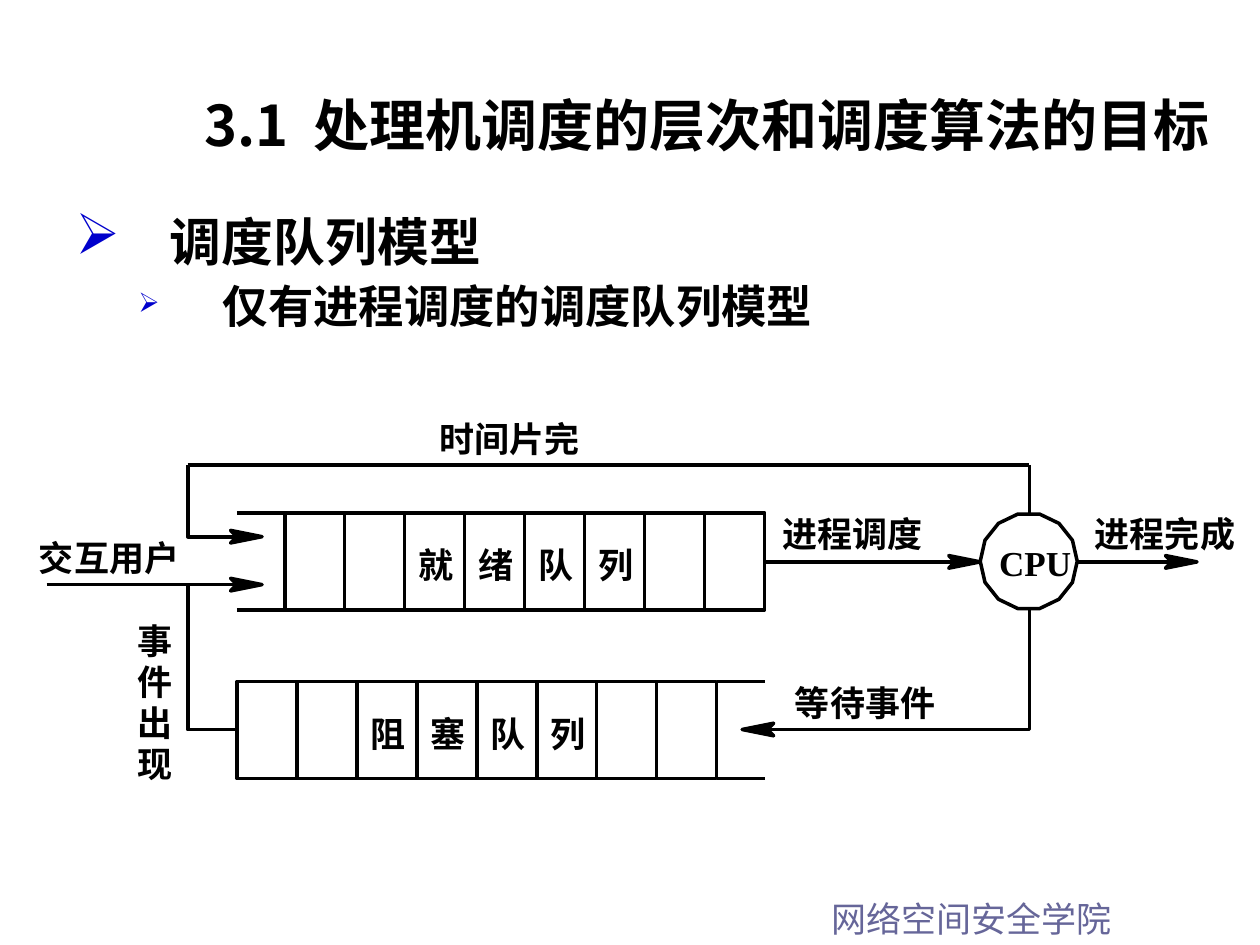
import math
from dataclasses import dataclass

import pptx
import pptx.dml.color
import pptx.enum.shapes
import pptx.enum.text
import pptx.oxml
import pptx.oxml.ns
import pptx.util
from pptx.util import Inches

BLACK, WHITE, BULLET_BLUE, FOOTER_VIOLET = "000000", "FFFFFF", "0000CC", "666699"
HEADING_FONT = "Noto Sans CJK JP"
LABEL_FONT = "Noto Sans CJK SC"
LATIN_FONT = "Times New Roman"
BULLET_FONT = "OpenSymbol"
CELL_COUNT, CELL_WIDTH, QUEUE_HEIGHT, OPEN_END = 8, 0.476, 0.77, 0.38


@dataclass
class Box:
    left: float
    top: float
    width: float
    height: float

    def inside(self, left, top, width, height):
        return Box(self.left + left, self.top + top, width, height)

    def point(self, x, y):
        return Inches(self.left + x), Inches(self.top + y)

    def lengths(self):
        return [Inches(value) for value in (self.left, self.top, self.width, self.height)]


def color(value):
    return pptx.dml.color.RGBColor.from_string(value)


def style_shape(shape, fill=None):
    shape.shadow.inherit = False
    shape.line.color.rgb = color(BLACK)
    shape.line.width = pptx.util.Pt(2)
    if fill:
        shape.fill.solid()
        shape.fill.fore_color.rgb = color(fill)
    else:
        shape.fill.background()


def add_text_box(slide, box, margins=(0.1, 0.05), grow=True):
    frame = slide.shapes.add_textbox(*box.lengths()).text_frame
    frame.word_wrap = True
    frame.margin_left = frame.margin_right = Inches(margins[0])
    frame.margin_top = frame.margin_bottom = Inches(margins[1])
    sizes = pptx.enum.text.MSO_AUTO_SIZE
    frame.auto_size = sizes.SHAPE_TO_FIT_TEXT if grow else sizes.NONE
    return frame


def add_run(paragraph, text, size, font, text_color=BLACK, bold=True, east_asian=None):
    run = paragraph.add_run()
    run.text = text
    run.font.size = pptx.util.Pt(size)
    run.font.bold = bold
    run.font.color.rgb = color(text_color)
    run.font.name = font
    east_asian_font = pptx.oxml.parse_xml(
        f'<a:ea {pptx.oxml.ns.nsdecls("a")} typeface="{east_asian or font}"/>')
    run.font._element.find(pptx.oxml.ns.qn("a:latin")).addnext(east_asian_font)
    return run


def add_label(slide, box, text, font=LABEL_FONT):
    frame = add_text_box(slide, box, margins=(0, 0))
    add_run(frame.paragraphs[0], text, 20, font)


def add_line(slide, start, end):
    connector = slide.shapes.add_connector(
        pptx.enum.shapes.MSO_CONNECTOR.STRAIGHT, *start, *end)
    connector.line.color.rgb = color(BLACK)
    connector.line.width = pptx.util.Pt(2)
    effects = pptx.oxml.parse_xml(f'<a:effectLst {pptx.oxml.ns.nsdecls("a")}/>')
    connector._element.spPr.append(effects)


def add_outline(slide, points, close=False, fill=None):
    builder = slide.shapes.build_freeform(*points[0])
    builder.add_line_segments(points[1:], close=close)
    style_shape(builder.convert_to_shape(), fill)


def add_arrowhead(slide, box, x, y, direction=1):
    """Notched head with its tip at x, y; direction is 1 for right, -1 for left."""
    back, notch = x - direction * 0.25, x - direction * 0.2
    points = [(back, y - 0.05), (notch, y), (back, y + 0.05), (x, y)]
    add_outline(slide, [box.point(*point) for point in points], close=True, fill=BLACK)


def add_title(slide, box):
    paragraph = add_text_box(slide, box).paragraphs[0]
    paragraph.alignment = pptx.enum.text.PP_ALIGN.CENTER
    add_run(paragraph, "3.1", 32, HEADING_FONT)
    gap = add_run(paragraph, " ", 32, HEADING_FONT)
    gap.font._element.set("spc", "700")
    add_run(paragraph, "处理机调度的层次和调度算法的目标", 32, HEADING_FONT)


def add_outline_text(slide, box):
    frame = add_text_box(slide, box, grow=False)
    # Text, size, level, left margin, hanging indent, bullet percentage
    levels = [
        ("调度队列模型", 29.6, 0, 0.75, 0.75, 110),
        ("仅有进程调度的调度队列模型", 25.9, 1, 1.17, 0.67, 60),
    ]
    for text, size, level, margin, hanging, percent in levels:
        paragraph = frame.add_paragraph() if level else frame.paragraphs[0]
        paragraph.level = level
        paragraph.line_spacing = 0.9
        if level:
            paragraph.space_before = pptx.util.Pt(7)
        properties = paragraph._p.get_or_add_pPr()
        properties.set("marL", str(Inches(margin)))
        properties.set("indent", str(-Inches(hanging)))
        namespace = pptx.oxml.ns.nsdecls("a")
        for bullet in (
            f'<a:buClr {namespace}><a:srgbClr val="{BULLET_BLUE}"/></a:buClr>',
            f'<a:buSzPct {namespace} val="{percent * 1000}"/>',
            f'<a:buFont {namespace} typeface="{BULLET_FONT}"/>',
            f'<a:buChar {namespace} char="➢"/>',
        ):
            properties.append(pptx.oxml.parse_xml(bullet))
        add_run(paragraph, text, size, LATIN_FONT, east_asian=LABEL_FONT)


def add_queue(slide, box, name, open_left):
    """Row of cells whose open end sticks out on one side."""
    for index in range(CELL_COUNT):
        cell = box.inside(index * CELL_WIDTH, 0, CELL_WIDTH, box.height)
        shape = slide.shapes.add_shape(
            pptx.enum.shapes.MSO_SHAPE.RECTANGLE, *cell.lengths())
        style_shape(shape, WHITE)
        if 2 <= index < 2 + len(name):
            add_label(slide, cell.inside(0.11, 0.245, 0.3, 0.33), name[index - 2])
    start = -OPEN_END if open_left else box.width
    for y in (0, box.height):
        add_line(slide, box.point(start, y), box.point(start + OPEN_END, y))


def add_processor(slide, box):
    radius, sides = box.width / 2, 14
    points = []
    for index in range(sides):
        angle = math.pi + index * math.tau / sides
        points.append(box.point(radius + radius * math.cos(angle),
                                radius + radius * math.sin(angle)))
    add_outline(slide, points, close=True)
    add_label(slide, box.inside(0.15, 0.23, 0.65, 0.33), "CPU", LATIN_FONT)


def add_queue_model(slide, box):
    queue_width = CELL_COUNT * CELL_WIDTH
    add_queue(slide, box.inside(1.96, 0.77, queue_width, QUEUE_HEIGHT), "就绪队列", True)
    add_queue(slide, box.inside(1.58, 2.11, queue_width, QUEUE_HEIGHT), "阻塞队列", False)
    add_processor(slide, box.inside(7.48, 0.77, 0.77, 0.77))

    # Straight flows
    for start, end in [
        ((5.77, 1.16), (7.48, 1.16)),
        ((8.25, 1.16), (9.2, 1.16)),
        ((0.07, 1.34), (1.78, 1.34)),
    ]:
        add_line(slide, box.point(*start), box.point(*end))
        add_arrowhead(slide, box, *end)

    # Time slice loop, waiting path and event return
    add_line(slide, box.point(7.87, 0.39), box.point(7.87, 0.77))
    add_line(slide, box.point(1.19, 0.39), box.point(7.87, 0.39))
    for corners in [
        [(1.19, 0.39), (1.19, 0.96), (1.58, 0.96)],
        [(7.87, 1.54), (7.87, 2.49), (5.59, 2.49)],
        [(1.19, 1.34), (1.19, 2.49), (1.58, 2.49)],
    ]:
        add_outline(slide, [box.point(*corner) for corner in corners])
    add_arrowhead(slide, box, 1.78, 0.96)
    add_arrowhead(slide, box, 5.59, 2.49, direction=-1)

    # Flow labels
    for text, left, top in [
        ("时间片完", 3.19, 0.01),
        ("进程调度", 5.91, 0.77),
        ("进程完成", 8.39, 0.77),
        ("等待事件", 6.01, 2.11),
        ("交互用户", 0.01, 0.96),
    ]:
        add_label(slide, box.inside(left, top, 1.2, 0.33), text)
    for index, character in enumerate("事件出现"):
        add_label(slide, box.inside(0.79, 1.62 + index * 0.325, 0.3, 0.33), character)


def add_footer(slide, box):
    paragraph = add_text_box(slide, box).paragraphs[0]
    add_run(paragraph, "网络空间安全学院", 20, HEADING_FONT, FOOTER_VIOLET, bold=False)


def main():
    presentation = pptx.Presentation()
    presentation.slide_width, presentation.slide_height = Inches(10), Inches(7.5)
    slide = presentation.slides.add_slide(presentation.slide_layouts[6])
    add_footer(slide, Box(6.5, 7.07, 3.5, 0.44))
    add_outline_text(slide, Box(0.5, 1.67, 9.25, 1.17))
    add_queue_model(slide, Box(0.3, 3.3, 9.5, 2.92))
    add_title(slide, Box(1.42, 0.67, 8.39, 0.64))
    presentation.save("out.pptx")


if __name__ == "__main__":
    main()
